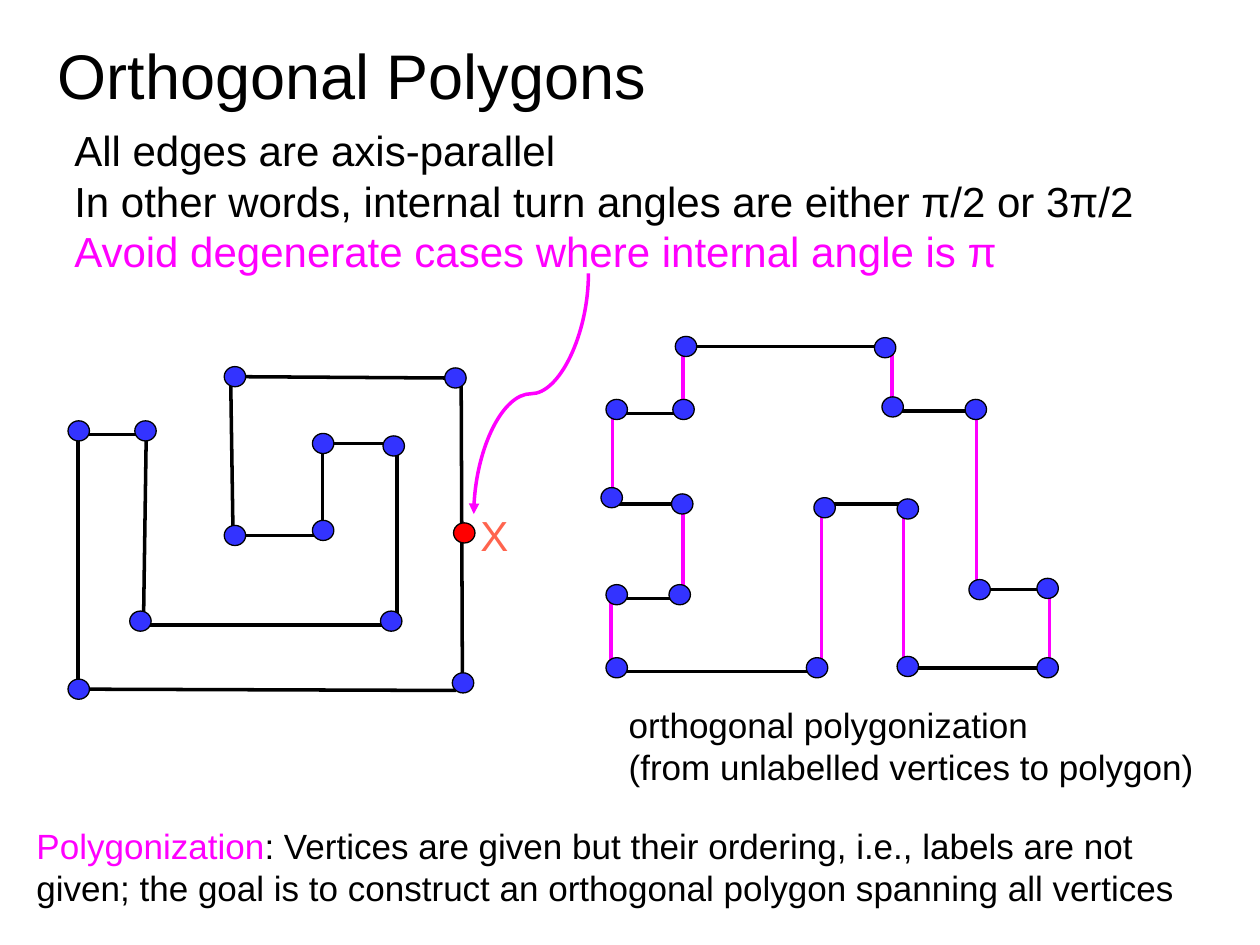
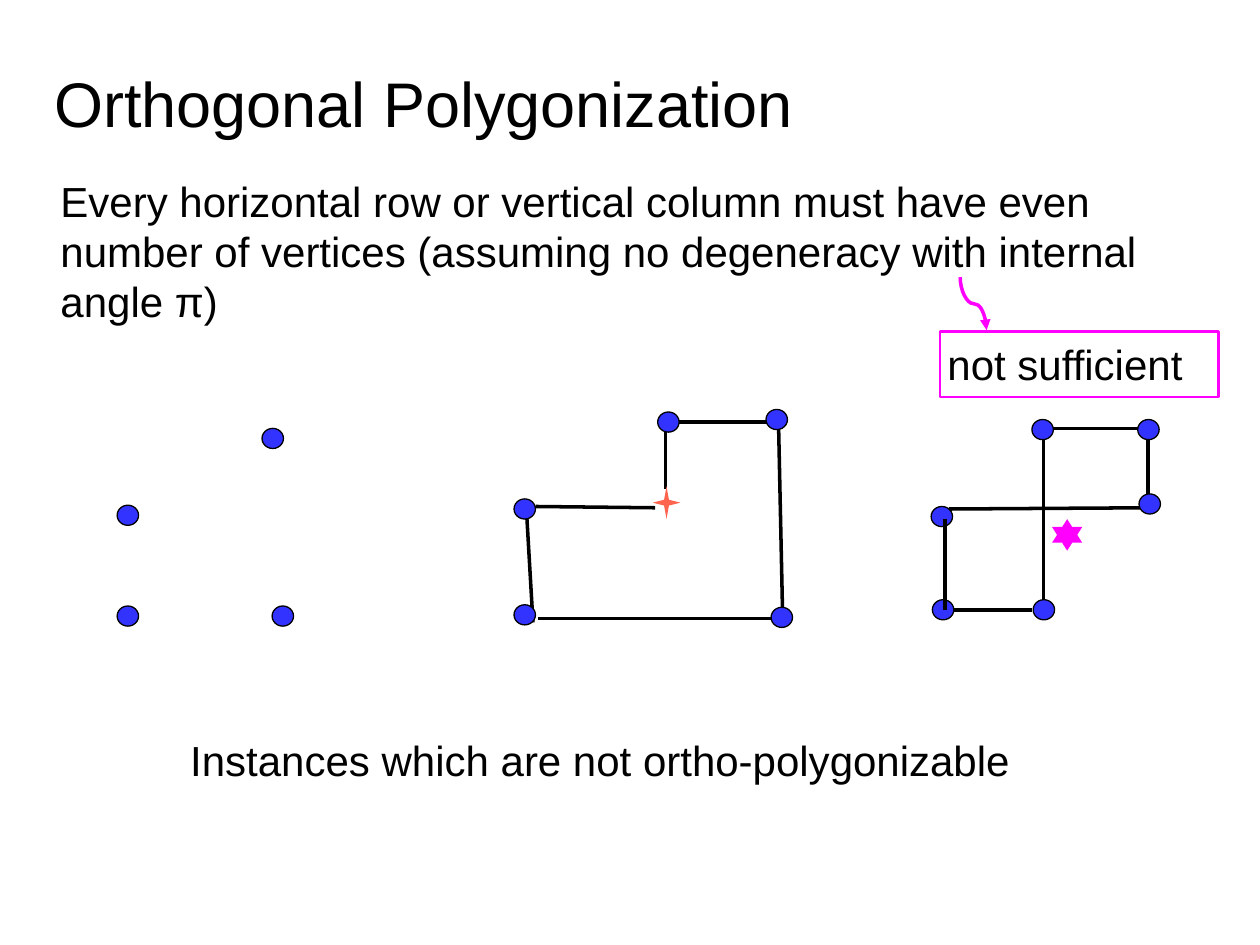
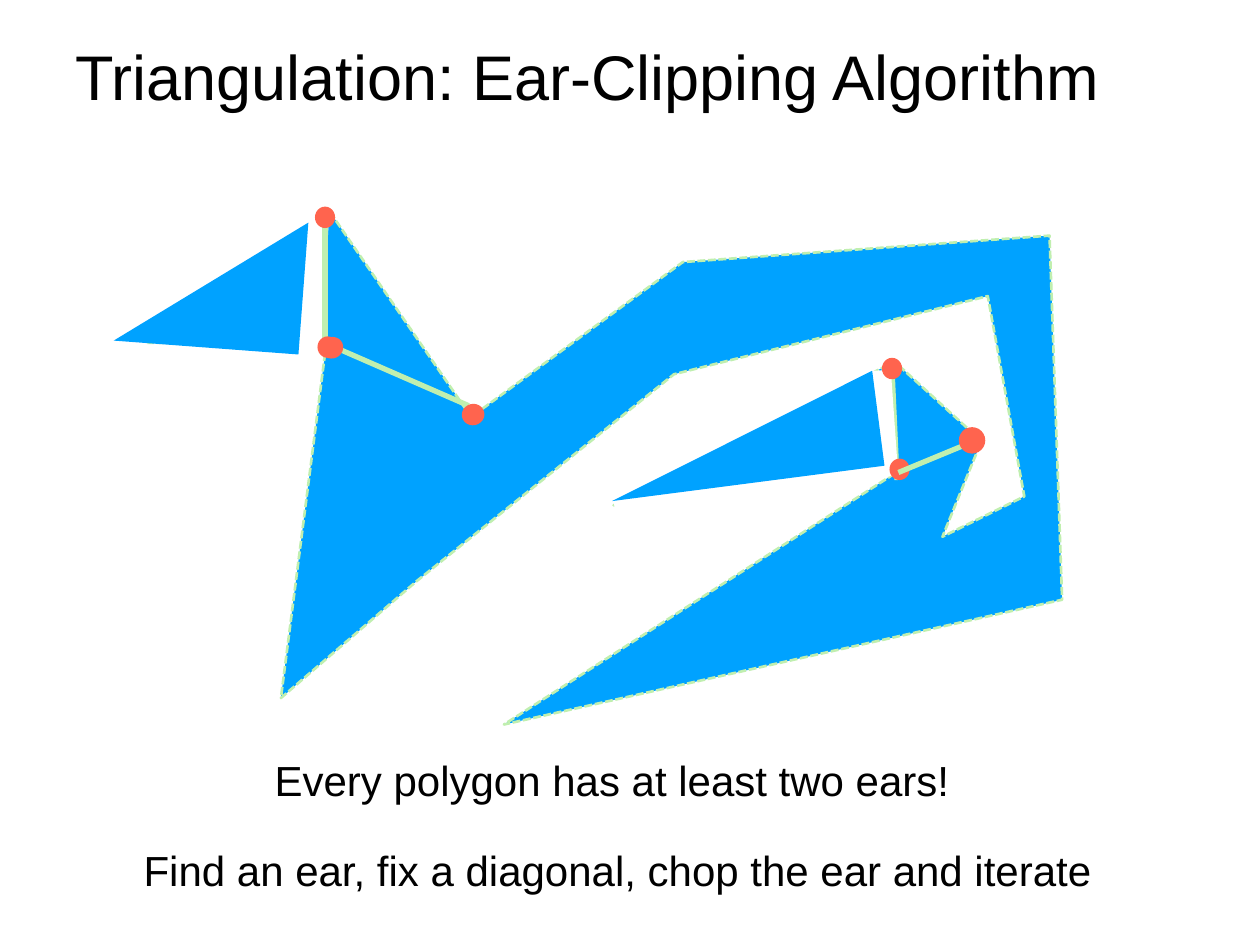
from lxml import etree
from pptx import Presentation
from pptx.dml.color import RGBColor
from pptx.enum.dml import MSO_LINE
from pptx.enum.shapes import MSO_CONNECTOR, MSO_SHAPE
from pptx.enum.text import MSO_ANCHOR, MSO_AUTO_SIZE, PP_ALIGN
from pptx.oxml.ns import qn
from pptx.util import Inches, Pt

STRAIGHT, CURVE = MSO_CONNECTOR.STRAIGHT, MSO_CONNECTOR.CURVE
RECTANGLE, OVAL = MSO_SHAPE.RECTANGLE, MSO_SHAPE.OVAL
TRIANGLE = MSO_SHAPE.ISOSCELES_TRIANGLE
STAR4, STAR6 = MSO_SHAPE.STAR_4_POINT, MSO_SHAPE.STAR_6_POINT
TOP, MIDDLE = MSO_ANCHOR.TOP, MSO_ANCHOR.MIDDLE
LEFT, CENTER = PP_ALIGN.LEFT, PP_ALIGN.CENTER
NO_AUTOFIT = MSO_AUTO_SIZE.NONE
SHORT_DASH = MSO_LINE.SQUARE_DOT
TITLE_AND_BODY, TITLE_ONLY = 1, 5

COLORS = {
    "black": "000000", "white": "FFFFFF", "magenta": "FF00FF", "vertex": "3333FF",
    "red": "FF0000", "coral": "FF644E", "polygon": "00A2FF", "diagonal": "C0EFAF",
}
FONT = "Arial"
LINE_HEIGHT = 1.2
VERTEX_SIZE = (0.17, 0.16)
EAR_DOT_SIZE = (0.16, 0.17)
TITLE_MARGINS = (0.1, 0.05)
TEXT_MARGINS = (0.06, 0.06)


def color(name):
    return RGBColor.from_string(COLORS[name])


def place(shape, box):
    for name, value in zip(("left", "top", "width", "height"), box):
        setattr(shape, name, Inches(value))


def write(shape, paragraphs, size, align=LEFT, anchor=MIDDLE, margins=TEXT_MARGINS):
    """Fill a shape with paragraphs, each a list of (text, colour) spans."""
    frame = shape.text_frame
    across, down = (Inches(value) for value in margins)
    frame_format = {
        "word_wrap": True, "auto_size": NO_AUTOFIT, "vertical_anchor": anchor,
        "margin_left": across, "margin_right": across,
        "margin_top": down, "margin_bottom": down,
    }
    for name, value in frame_format.items():
        setattr(frame, name, value)
    for index, spans in enumerate(paragraphs):
        para = frame.add_paragraph() if index else frame.paragraphs[0]
        para_format = {
            "alignment": align, "line_spacing": Pt(size * LINE_HEIGHT),
            "space_before": Pt(0), "space_after": Pt(0),
        }
        for name, value in para_format.items():
            setattr(para, name, value)
        for text, text_color in spans:
            span = para.add_run()
            span.text = text
            span.font.name = FONT
            span.font.size = Pt(size)
            span.font.color.rgb = color(text_color)


def add_slide(deck, layout, title, box, anchor=TOP, margins=TITLE_MARGINS):
    slide = deck.slides.add_slide(deck.slide_layouts[layout])
    place(slide.shapes.title, box)
    write(slide.shapes.title, [[(title, "black")]], 36, anchor=anchor, margins=margins)
    return slide


def fill_body(slide, box, paragraphs):
    body = slide.placeholders[1]
    place(body, box)
    write(body, paragraphs, 24)
    for para in body.text_frame.paragraphs:
        properties = para._p.get_or_add_pPr()
        properties.set("marL", "0")
        properties.set("indent", "0")
        etree.SubElement(properties, qn("a:buNone"))


def add_text(slide, box, paragraphs, size=24, align=LEFT):
    shape = slide.shapes.add_textbox(*map(Inches, box))
    write(shape, paragraphs, size, align)
    return shape


def paint(shape, fill, line=None, width=0.75):
    shape.shadow.inherit = False
    shape.fill.solid()
    shape.fill.fore_color.rgb = color(fill)
    if line:
        shape.line.color.rgb = color(line)
        shape.line.width = Pt(width)
    else:
        shape.line.fill.background()


def add_figure(slide, kind, box, fill, line=None, rotation=0):
    shape = slide.shapes.add_shape(kind, *map(Inches, box))
    shape.rotation = rotation
    paint(shape, fill, line)
    return shape


def add_vertices(slide, corners, fill="vertex"):
    for corner in corners:
        add_figure(slide, OVAL, corner + VERTEX_SIZE, fill, "black")


def add_line(slide, ends, line="black", width=2, kind=STRAIGHT):
    connector = slide.shapes.add_connector(kind, *map(Inches, ends))
    connector.line.color.rgb = color(line)
    connector.line.width = Pt(width)
    etree.SubElement(connector._element.spPr, qn("a:effectLst"))
    return connector


def add_edges(slide, edges, line="black"):
    for ends in edges:
        add_line(slide, ends, line)


def add_curved_arrow(slide, x1, y1, x2, y2):
    """Draw an S-curve that leaves and arrives vertically, as a turned connector."""
    middle_x, middle_y = (x1 + x2) / 2, (y1 + y2) / 2
    half_width, half_height = (y2 - y1) / 2, abs(x2 - x1) / 2
    rightward = x2 > x1
    if rightward:
        half_width = -half_width
    ends = (middle_x - half_width, middle_y - half_height,
            middle_x + half_width, middle_y + half_height)
    arrow = add_line(slide, ends, "magenta", kind=CURVE)
    turn = 270 if rightward else 90
    arrow._element.spPr.xfrm.set("rot", str(turn * 60000))
    etree.SubElement(arrow.line._get_or_add_ln(), qn("a:tailEnd"), type="triangle")


def add_polygon(slide, points):
    start, *others = [tuple(map(Inches, point)) for point in points]
    builder = slide.shapes.build_freeform(*start)
    builder.add_line_segments(others, close=True)
    polygon = builder.convert_to_shape()
    paint(polygon, "polygon", "diagonal", 1.5)
    polygon.line.dash_style = SHORT_DASH


def add_ear(slide, box, rotation):
    ear = add_figure(slide, TRIANGLE, box, "polygon", rotation=rotation)
    ear.adjustments[0] = 1


def add_polygons_slide(deck):
    slide = add_slide(deck, TITLE_AND_BODY, "Orthogonal Polygons", (0.36, 0.24, 7.51, 0.79))
    fill_body(slide, (0.53, 0.93, 9.33, 1.32), [
        [("All edges are axis-parallel", "black")],
        [("In other words, internal turn angles are either π/2 or 3π/2", "black")],
        [("Avoid degenerate cases where internal angle is π", "magenta")],
    ])
    add_text(slide, (4.93, 5.52, 4.76, 0.79), [
        [("orthogonal polygonization", "black")],
        [("(from unlabelled vertices to polygon)", "black")],
    ], 20)
    add_edges(slide, [
        (5.42, 2.75, 7.08, 2.75), (6.52, 4, 7.17, 4), (4.86, 3.28, 5.42, 3.28),
        (4.85, 4.75, 5.39, 4.75), (4.86, 4, 5.42, 4), (4.85, 5.33, 6.52, 5.33),
        (7.75, 4.68, 8.33, 4.68), (7.17, 5.3, 8.33, 5.3), (7.08, 3.26, 7.73, 3.26),
    ])
    add_edges(slide, [
        (6.52, 5.34, 6.52, 4), (5.42, 2.75, 5.42, 3.26), (4.86, 3.28, 4.86, 4),
        (5.42, 4, 5.42, 4.75), (4.85, 4.75, 4.85, 5.33), (8.33, 4.68, 8.33, 5.3),
        (7.17, 4, 7.17, 5.33), (7.75, 4.68, 7.75, 3.28), (7.08, 2.75, 7.08, 3.28),
    ], "magenta")
    add_vertices(slide, [
        (5.34, 3.17), (4.81, 3.17), (7.66, 3.17), (7, 3.15), (5.36, 2.67), (6.94, 2.68),
        (6.46, 3.95), (7.12, 3.96), (4.77, 3.87), (5.33, 3.92), (7.69, 4.6), (8.23, 4.59),
        (7.12, 5.21), (6.4, 5.22), (4.81, 4.64), (4.81, 5.22), (5.31, 4.64), (8.23, 5.22),
    ])
    add_edges(slide, [
        (1.94, 2.99, 3.53, 3), (1.95, 4.25, 2.6, 4.25), (0.59, 3.45, 1.15, 3.45),
        (0.7, 5.47, 3.62, 5.48), (1.17, 4.96, 3.06, 4.96), (2.53, 3.52, 3.18, 3.52),
        (3.15, 4.95, 3.15, 3.61), (1.83, 2.95, 1.85, 4.28), (0.62, 3.44, 0.62, 5.55),
        (1.16, 3.5, 1.14, 4.88), (3.67, 5.36, 3.66, 2.99), (2.56, 3.6, 2.56, 4.17),
    ])
    add_vertices(slide, [
        (1.07, 3.34), (0.54, 3.34), (1.78, 4.17), (2.48, 3.44), (1.78, 2.91), (3.53, 2.92),
        (3.02, 4.85), (1.03, 4.85), (3.59, 5.34), (2.48, 4.13), (3.04, 3.46), (0.54, 5.39),
    ])
    add_text(slide, (0.23, 6.48, 9.33, 0.79), [[
        ("Polygonization", "magenta"),
        (": Vertices are given but their ordering, i.e., labels are not given; "
         "the goal is to construct an orthogonal polygon spanning all vertices", "black"),
    ]], 20)
    add_vertices(slide, [(3.6, 4.15)], "red")
    add_curved_arrow(slide, 4.67, 2.17, 3.76, 4.08)
    add_text(slide, (3.66, 3.98, 0.53, 0.52), [[("X", "coral")]], align=CENTER)


def add_polygonization_slide(deck):
    slide = add_slide(deck, TITLE_AND_BODY, "Orthogonal Polygonization",
                      (0.33, 0.46, 7.51, 0.79))
    fill_body(slide, (0.42, 1.33, 9.42, 1.32), [[
        ("Every horizontal row or vertical column must have even number of vertices "
         "(assuming no degeneracy with internal angle π)", "black"),
    ]])
    add_text(slide, (1.45, 5.77, 7.14, 0.52),
             [[("Instances which are not ortho-polygonizable", "black")]])
    add_edges(slide, [
        (7.53, 4.04, 9.11, 4.03), (8.35, 3.4, 9.11, 3.4), (5.33, 3.35, 6.16, 3.35),
        (4.27, 4.91, 6.15, 4.91), (4.25, 4.02, 5.2, 4.03), (6.21, 4.82, 6.18, 3.41),
        (5.28, 3.43, 5.28, 3.88), (4.18, 4.08, 4.23, 4.94), (8.28, 4.84, 8.28, 3.48),
        (9.11, 3.39, 9.11, 4.04), (7.57, 4.84, 8.19, 4.84),
    ])
    add_vertices(slide, [
        (2.08, 3.4), (0.93, 4.01), (7.39, 4.02), (4.08, 3.96), (5.22, 3.27), (0.93, 4.81),
        (8.19, 3.33), (2.16, 4.81), (6.08, 3.25), (4.08, 4.8), (6.12, 4.82), (9.04, 3.92),
        (9.03, 3.33), (7.4, 4.76), (8.2, 4.76),
    ])
    add_figure(slide, STAR4, (5.18, 3.86, 0.22, 0.26), "coral")
    add_figure(slide, STAR6, (8.35, 4.12, 0.24, 0.25), "magenta")
    add_line(slide, (7.5, 4.84, 7.5, 4.12))
    note = add_text(slide, (7.46, 2.63, 2.21, 0.52), [[("not sufficient", "black")]])
    paint(note, "white", "magenta", 1.5)
    add_curved_arrow(slide, 7.62, 2.2, 7.83, 2.62)


def add_ear_clipping_slide(deck):
    slide = add_slide(deck, TITLE_ONLY, "Triangulation: Ear-Clipping Algorithm",
                      (0.54, 0.24, 8.92, 0.72), MIDDLE, TEXT_MARGINS)
    add_polygon(slide, [
        (1.17, 2.72), (2.59, 1.64), (3.74, 3.31), (5.42, 2.08), (8.33, 1.87), (8.43, 4.76),
        (4, 5.75), (7.13, 3.74), (4.87, 4.01), (7.1, 2.87), (7.79, 3.5), (7.48, 4.26),
        (8.13, 3.94), (7.84, 2.35), (5.35, 2.97), (3.31, 4.61), (2.23, 5.54), (2.59, 2.73),
    ])
    add_line(slide, (7.08, 2.94, 7.12, 3.81), "diagonal", 3)
    for box, rotation in [
        ((0.75, 1.09, 1.85, 1.63), 3),
        ((5.45, 2.99, 1.65, 0.79), 356),
        ((4.85, 3.45, 2.19, 0.64), 343.9),
    ]:
        add_figure(slide, RECTANGLE, box, "white", rotation=rotation)
    add_ear(slide, (0.94, 1.71, 1.47, 1.05), 4.3)
    add_ear(slide, (4.8, 3.08, 2.18, 0.76), 352.6)
    add_line(slide, (2.58, 1.68, 2.58, 2.75), "diagonal", 3)
    for corner in [(2.52, 2.67), (2.5, 1.64), (7.06, 3.64), (7, 2.84)]:
        add_figure(slide, OVAL, corner + EAR_DOT_SIZE, "coral")
    add_line(slide, (2.62, 2.74, 3.72, 3.22), "diagonal", 3)
    add_figure(slide, OVAL, (3.67, 3.2, 0.17, 0.18), "coral", rotation=257.7)
    add_figure(slide, OVAL, (2.55, 2.67, 0.17, 0.18), "coral", rotation=244.1)
    add_line(slide, (7.13, 3.75, 7.71, 3.51), "diagonal", 3)
    add_figure(slide, OVAL, (7.61, 3.39, 0.21, 0.21), "coral")
    add_text(slide, (2.12, 5.93, 6.33, 0.52),
             [[("Every polygon has at least two ears!", "black")]])
    add_text(slide, (1.08, 6.64, 7.69, 0.52),
             [[("Find an ear, fix a diagonal, chop the ear and iterate", "black")]])


def main():
    deck = Presentation()
    deck.slide_width, deck.slide_height = Inches(10), Inches(7.5)
    add_polygons_slide(deck)
    add_polygonization_slide(deck)
    add_ear_clipping_slide(deck)
    deck.save("out.pptx")


if __name__ == "__main__":
    main()
